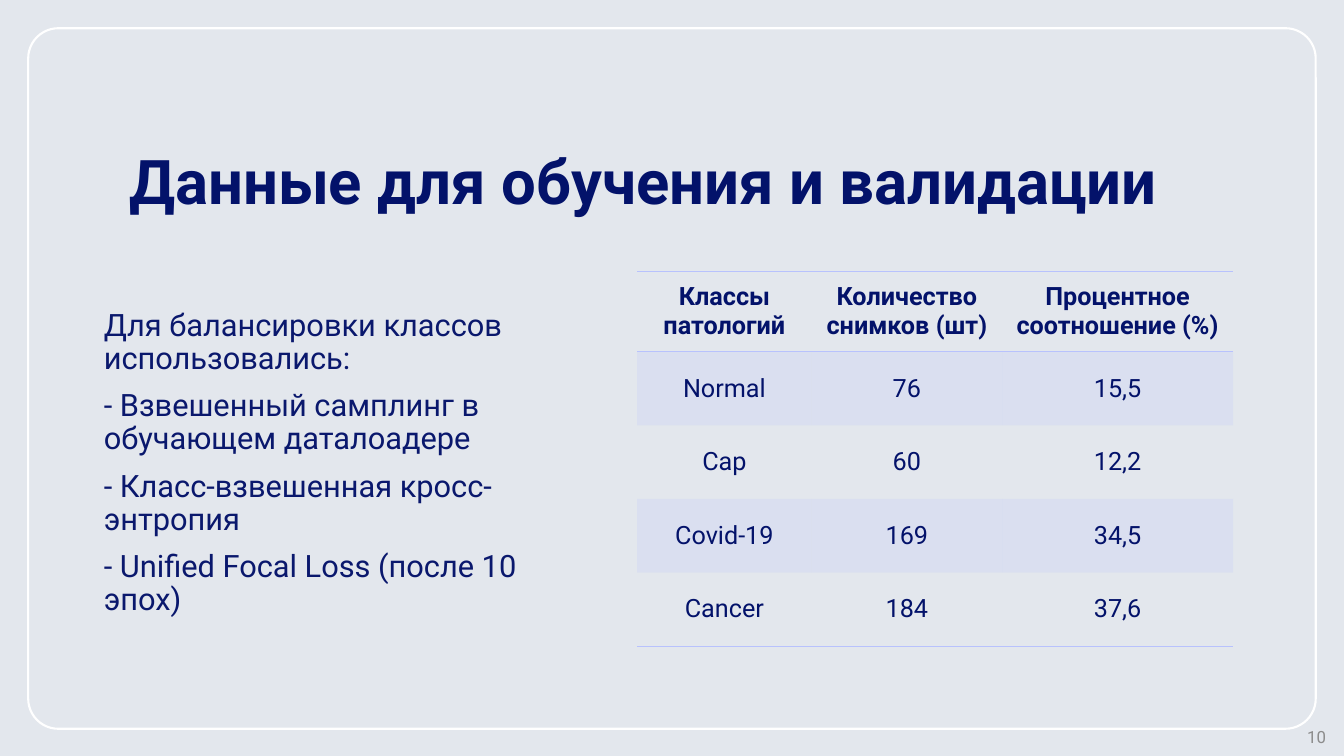
from lxml import etree
from pptx import Presentation
from pptx.dml.color import RGBColor
from pptx.enum.shapes import MSO_SHAPE
from pptx.enum.text import MSO_ANCHOR, MSO_AUTO_SIZE, PP_ALIGN
from pptx.oxml.ns import qn
from pptx.util import Emu, Pt

PX = 9144
FONT = "Roboto"
NO_STYLE = "{2D5ABB26-0587-4C30-8999-92F81FD0307C}"
ROUNDED = MSO_SHAPE.ROUNDED_RECTANGLE
LEFT, CENTER, RIGHT = PP_ALIGN.LEFT, PP_ALIGN.CENTER, PP_ALIGN.RIGHT
TOP, MIDDLE, BOTTOM = MSO_ANCHOR.TOP, MSO_ANCHOR.MIDDLE, MSO_ANCHOR.BOTTOM
NO_FIT = MSO_AUTO_SIZE.NONE

COLORS = {
    "background": "E3E7ED",
    "frame": "FFFFFF",
    "heading": "03126A",
    "body": "0A186D",
    "accent": "B8C2FD",
    "number": "8C8C8C",
}

BALANCING = [
    "Для балансировки классов использовались:",
    "- Взвешенный самплинг в обучающем даталоадере",
    "- Класс-взвешенная кросс-энтропия",
    "- Unified Focal Loss (после 10 эпох)",
]

CLASSES = [
    ["Классы патологий", "Количество снимков (шт)", "Процентное соотношение (%)"],
    ["Normal", "76", "15,5"],
    ["Cap", "60", "12,2"],
    ["Covid-19", "169", "34,5"],
    ["Cancer", "184", "37,6"],
]
COLUMN_WIDTHS = [173, 189, 229]
ROW_HEIGHTS = [80, 73, 73, 73, 73]


def px(*lengths):
    return [Emu(length * PX) for length in lengths]


def rgb(name):
    return RGBColor.from_string(COLORS[name])


def write(frame, lines, size, color, bold=False, align=LEFT, anchor=TOP,
          spacing=1.0, gap=0):
    frame.word_wrap = True
    frame.vertical_anchor = anchor
    for index, line in enumerate(lines):
        paragraph = frame.paragraphs[0] if index == 0 else frame.add_paragraph()
        properties = paragraph._p.get_or_add_pPr()
        properties.set("marL", "0")
        properties.set("indent", "0")
        etree.SubElement(properties, qn("a:buNone"))
        paragraph.alignment = align
        paragraph.line_spacing = spacing
        paragraph.space_before = Pt(gap if index else 0)
        run = paragraph.add_run()
        run.text = line
        run.font.name = FONT
        run.font.size = Pt(size)
        run.font.bold = bold
        run.font.color.rgb = rgb(color)


def add_frame(slide):
    frame = slide.shapes.add_shape(ROUNDED, *px(28, 28, 1277, 695))
    frame.adjustments[0] = 0.043
    frame.shadow.inherit = False
    frame.fill.background()
    frame.line.color.rgb = rgb("frame")
    frame.line.width = Pt(1.5)


def fill_placeholder(placeholder, box, lines, **text_format):
    placeholder.left, placeholder.top, placeholder.width, placeholder.height = px(*box)
    placeholder.text_frame.auto_size = NO_FIT
    write(placeholder.text_frame, lines, spacing=0.9, **text_format)


def tint(cell):
    cell.fill.solid()
    cell.fill.fore_color.rgb = rgb("accent")
    color = cell._tc.tcPr.find(".//" + qn("a:srgbClr"))
    etree.SubElement(color, qn("a:alpha"), val="20000")


def add_borders(cell, edges):
    properties = cell._tc.get_or_add_tcPr()
    for position, edge in enumerate(edges):
        border = etree.Element(qn(edge), w=str(Pt(1)))
        fill = etree.SubElement(border, qn("a:solidFill"))
        etree.SubElement(fill, qn("a:srgbClr"), val=COLORS["accent"])
        properties.insert(position, border)


def add_class_table(slide):
    box = px(632, 269, sum(COLUMN_WIDTHS), sum(ROW_HEIGHTS))
    table = slide.shapes.add_table(len(CLASSES), len(COLUMN_WIDTHS), *box).table
    table._tbl.tblPr.find(qn("a:tableStyleId")).text = NO_STYLE
    table.horz_banding = False
    for column, width in zip(table.columns, px(*COLUMN_WIDTHS)):
        column.width = width
    for row, height in zip(table.rows, px(*ROW_HEIGHTS)):
        row.height = height
    last = len(CLASSES) - 1
    edges = {0: ["a:lnT", "a:lnB"], last: ["a:lnB"]}
    for r, values in enumerate(CLASSES):
        for c, value in enumerate(values):
            cell = table.cell(r, c)
            write(cell.text_frame, [value], 18, "heading", bold=r == 0, align=CENTER)
            cell.vertical_anchor = MIDDLE
            if r % 2:
                tint(cell)
            else:
                cell.fill.background()
            add_borders(cell, edges.get(r, []))


def add_page_number(slide):
    number = slide.shapes.add_textbox(*px(1025, 718, 300, 25))
    write(number.text_frame, ["10"], 12, "number", align=RIGHT, anchor=MIDDLE)


def main():
    deck = Presentation()
    deck.slide_width, deck.slide_height = px(1333, 750)
    slide = deck.slides.add_slide(deck.slide_layouts[1])
    slide.background.fill.solid()
    slide.background.fill.fore_color.rgb = rgb("background")

    add_frame(slide)
    fill_placeholder(slide.shapes.title, (118, 40, 1124, 181),
                     ["Данные для обучения и валидации"],
                     size=44, color="heading", bold=True, anchor=BOTTOM)
    fill_placeholder(slide.placeholders[1], (93, 302, 486, 338), BALANCING,
                     size=22, color="body", gap=10)
    add_class_table(slide)
    add_page_number(slide)
    deck.save("out.pptx")


if __name__ == "__main__":
    main()
